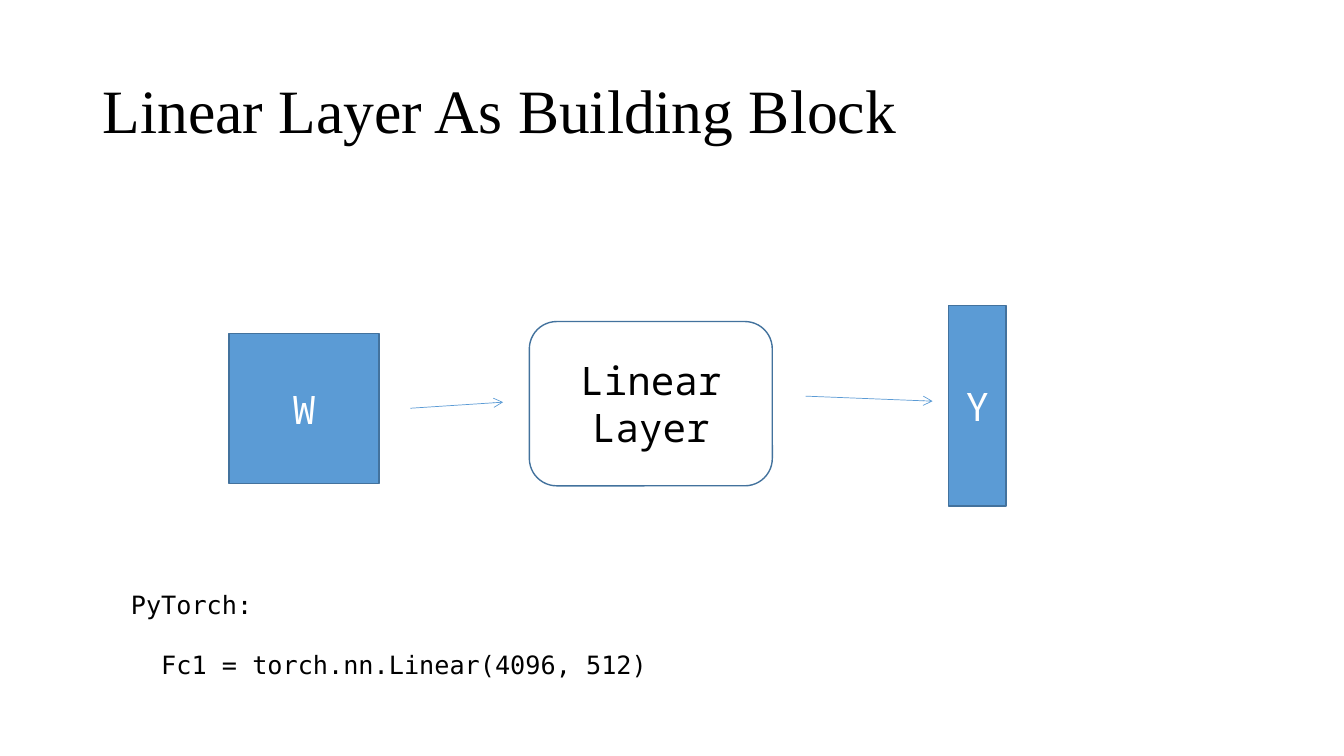
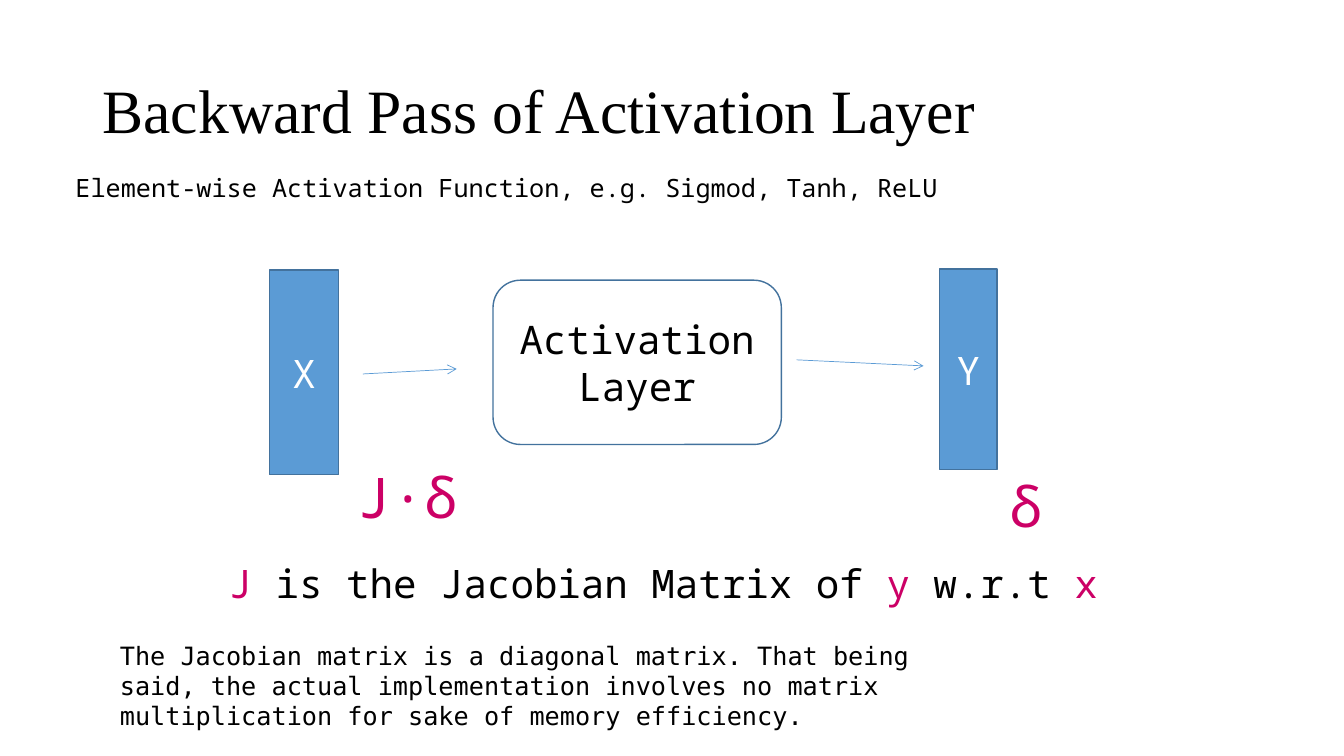
from lxml import etree
from pptx import Presentation
from pptx.dml.color import RGBColor
from pptx.enum.shapes import MSO_CONNECTOR, MSO_SHAPE
from pptx.enum.text import MSO_ANCHOR, PP_ALIGN
from pptx.oxml.ns import qn
from pptx.util import Inches, Pt

RECTANGLE = MSO_SHAPE.RECTANGLE
ROUNDED = MSO_SHAPE.ROUNDED_RECTANGLE
STRAIGHT = MSO_CONNECTOR.STRAIGHT
TOP, MIDDLE = MSO_ANCHOR.TOP, MSO_ANCHOR.MIDDLE
LEFT, CENTER = PP_ALIGN.LEFT, PP_ALIGN.CENTER

COLORS = {
    "black": "000000",
    "white": "FFFFFF",
    "blue": "5B9BD5",
    "outline": "43729D",
    "pink": "CC0066",
}
SERIF, MONO, CODE = "Times New Roman", "Noto Sans Mono", "DejaVu Sans Mono"


def color(name):
    return RGBColor.from_string(COLORS[name])


def write(box, text, size=18, font=MONO, ink="black", align=LEFT, anchor=TOP,
          wrap=False, line_spacing=None, gap=0):
    """Write lines of text; a line may also be a list of (text, ink) spans."""
    frame = box.text_frame
    frame.word_wrap = wrap
    frame.vertical_anchor = anchor
    lines = [text] if isinstance(text, str) else text
    for index, line in enumerate(lines):
        para = frame.paragraphs[0] if index == 0 else frame.add_paragraph()
        para.alignment = align
        if line_spacing:
            para.line_spacing = line_spacing
        if index and gap:
            para.space_before = Pt(gap)
        spans = [(line, ink)] if isinstance(line, str) else line
        for words, span_ink in spans:
            span = para.add_run()
            span.text = words
            span.font.size = Pt(size)
            span.font.name = font
            span.font.color.rgb = color(span_ink)


deck = Presentation()
deck.slide_width, deck.slide_height = Inches(13.33), Inches(7.5)
blank = deck.slide_layouts[6]

jacobian = [("J", "pink"), (" is the Jacobian Matrix of ", "black"), ("y", "pink"),
            (" w.r.t ", "black"), ("x", "pink")]

slides = [
    {
        "title": "Linear Layer As Building Block",
        # Data blocks and layer: text, left, top, width, height
        "data": [("W", 2.27, 3.31, 1.49, 1.49), ("Y", 9.41, 3.03, 0.57, 1.99)],
        "layer": (["Linear", "Layer"], 5.25, 3.19, 2.41, 1.63),
        # Arrows: start x, start y, end x, end y
        "arrows": [(4.07, 4.05, 4.99, 3.99), (7.99, 3.93, 9.25, 3.98)],
        # Notes: text, left, top, width, height, format
        "notes": [
            (["PyTorch:", "  Fc1 = torch.nn.Linear(4096, 512)"],
             1.2, 5.8, 6, 0.97, {"font": CODE, "gap": 21, "wrap": True}),
        ],
    },
    {
        "title": "Backward Pass of Activation Layer",
        "data": [("X", 2.67, 2.68, 0.69, 2.03), ("Y", 9.32, 2.67, 0.57, 1.99)],
        "layer": (["Activation", "Layer"], 4.89, 2.78, 2.86, 1.63),
        "arrows": [(3.6, 3.71, 4.53, 3.66), (7.9, 3.57, 9.16, 3.63)],
        "notes": [
            ("Element-wise Activation Function, e.g. Sigmod, Tanh, ReLU",
             0.65, 1.66, 8.78, 0.4, {}),
            ("δ", 9.91, 4.63, 0.53, 0.77, {"size": 40, "ink": "pink"}),
            ("J·δ", 3.45, 4.54, 1.2, 0.77, {"size": 40, "ink": "pink"}),
            ([jacobian], 2.17, 5.5, 8.85, 0.57, {"size": 28}),
            ("The Jacobian matrix is a diagonal matrix. That being said, the actual "
             "implementation involves no matrix multiplication for sake of memory "
             "efficiency.",
             1.09, 6.3, 8.41, 1.0, {"font": CODE, "wrap": True}),
        ],
    },
]

for content in slides:
    page = deck.slides.add_slide(blank)

    # Title
    title = page.shapes.add_textbox(Inches(0.92), Inches(0.4), Inches(11.5), Inches(1.45))
    write(title, content["title"], size=44, font=SERIF, anchor=MIDDLE, wrap=True,
          line_spacing=0.9)

    # Data blocks and the layer between them
    blocks = [(RECTANGLE, "white", block) for block in content["data"]]
    blocks.append((ROUNDED, "black", content["layer"]))
    for kind, ink, (label, *place) in blocks:
        block = page.shapes.add_shape(kind, *map(Inches, place))
        block.shadow.inherit = False
        block.line.color.rgb = color("outline")
        block.line.width = Pt(1)
        if kind == RECTANGLE:
            block.fill.solid()
            block.fill.fore_color.rgb = color("blue")
        else:
            block.fill.background()
        write(block, label, size=28, ink=ink, align=CENTER, anchor=MIDDLE, wrap=True)

    # Arrows
    for ends in content["arrows"]:
        arrow = page.shapes.add_connector(STRAIGHT, *map(Inches, ends))
        arrow.line.color.rgb = color("blue")
        arrow.line.width = Pt(0.5)
        etree.SubElement(arrow.line._get_or_add_ln(), qn("a:tailEnd"), type="arrow")
        etree.SubElement(arrow._element.spPr, qn("a:effectLst"))

    # Notes
    for text, left, top, width, height, style in content["notes"]:
        note = page.shapes.add_textbox(Inches(left), Inches(top), Inches(width), Inches(height))
        write(note, text, **style)

deck.save("out.pptx")
